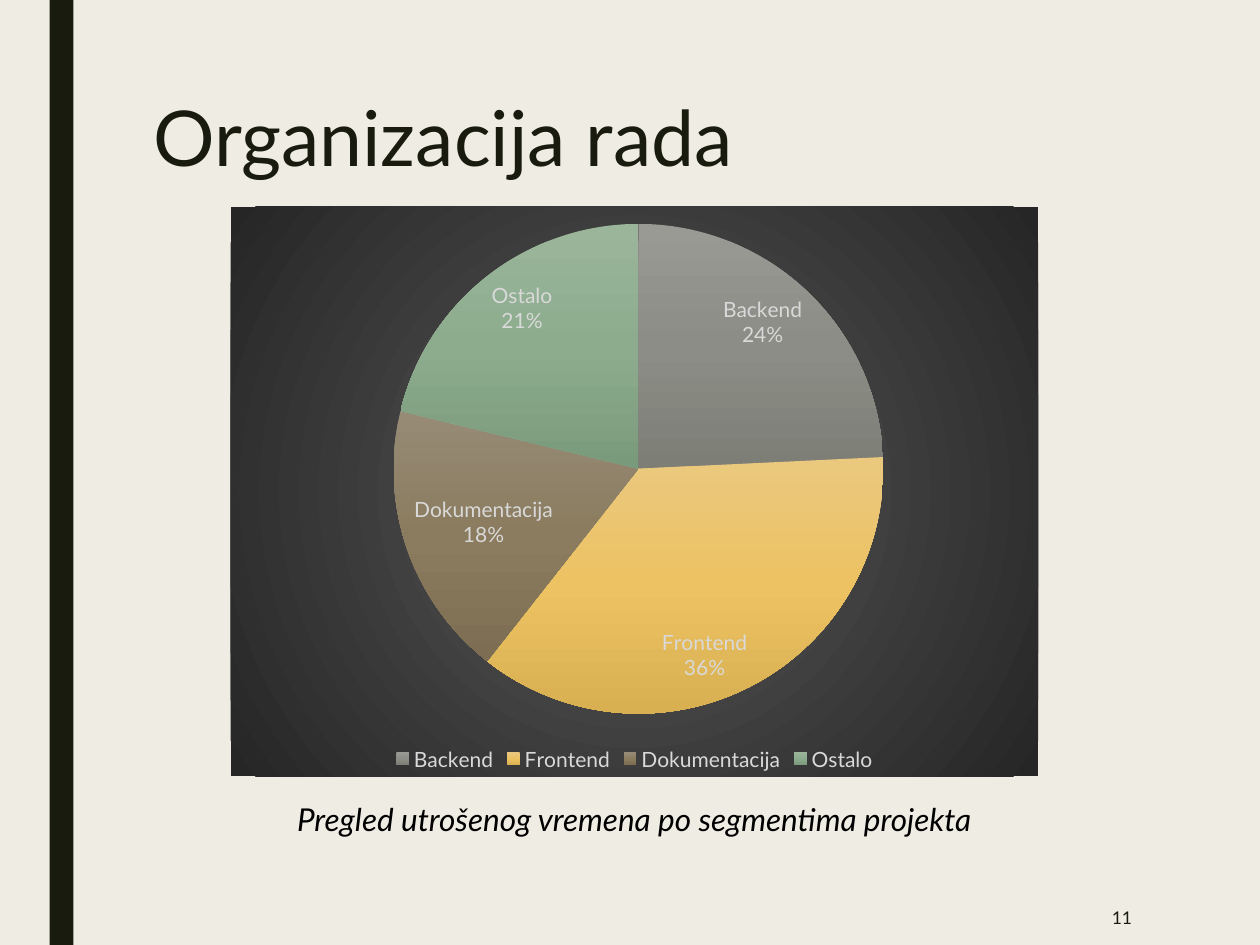
from lxml import etree
from pptx import Presentation
from pptx import util as u
from pptx.chart.data import CategoryChartData
from pptx.dml.color import RGBColor
from pptx.enum import chart as ch, shapes, text
from pptx.oxml import parse_xml
from pptx.oxml.ns import nsdecls, qn

TITLE = "Organizacija rada"
CAPTION = "Pregled utrošenog vremena po segmentima projekta"
PAGE = "11"
SEGMENTS = [
    ("Backend", 24, ("999A94", "8C8D86", "7D7E76")),
    ("Frontend", 36, ("EAC87E", "ECC263", "D9B051")),
    ("Dokumentacija", 18, ("978B76", "8B7C5F", "7D6E53")),
    ("Ostalo", 21, ("9BB59B", "8CAC8D", "7A9B7B")),
]
THEME = {
    "font": "Lato", "bg": "EFEDE3", "dark": "191B0E", "black": "000000",
    "label": "D9D9D9", "panel": ("595959", "262626"),
    "title": 44, "caption": 18, "chart": 12, "page": 10,
}
DOWN = '<a:lin ang="5400000" scaled="0"/>'
RADIAL = ('<a:path path="circle"><a:fillToRect l="50000" t="50000" '
          'r="50000" b="50000"/></a:path>')
PIE_LAYOUT = {"x": 0.2, "y": 0.03, "w": 0.61, "h": 0.86}


def rgb(name):
    return RGBColor.from_string(THEME[name])


def set_font(font, size, color):
    font.name, font.size = THEME["font"], u.Pt(THEME[size])
    font.color.rgb = rgb(color)


def add_text(slide, content, box, size, color="dark", align=text.PP_ALIGN.LEFT,
             anchor=text.MSO_ANCHOR.TOP, spacing=None, italic=None):
    tf = slide.shapes.add_textbox(*map(u.Cm, box)).text_frame
    tf.word_wrap, tf.vertical_anchor = True, anchor
    p = tf.paragraphs[0]
    p.alignment, p.line_spacing = align, spacing
    r = p.add_run()
    r.text, r.font.italic = content, italic
    set_font(r.font, size, color)


def gradient(colors, direction):
    step = 100000 // (len(colors) - 1)
    stops = "".join(f'<a:gs pos="{i * step}"><a:srgbClr val="{c}"/></a:gs>'
                    for i, c in enumerate(colors))
    return (f'<a:gradFill {nsdecls("a")} rotWithShape="1">'
            f'<a:gsLst>{stops}</a:gsLst>{direction}</a:gradFill>')


def add_pie(slide, box):
    data = CategoryChartData()
    data.categories = [name for name, _, _ in SEGMENTS]
    data.add_series("Series 1", [value for _, value, _ in SEGMENTS])
    chart = slide.shapes.add_chart(ch.XL_CHART_TYPE.PIE, *map(u.Cm, box), data).chart
    set_font(chart.font, "page", "black")
    chart.has_title = False
    chart.has_legend = True
    chart.legend.position = ch.XL_LEGEND_POSITION.BOTTOM
    chart.legend.include_in_layout = False
    set_font(chart.legend.font, "chart", "label")

    plot = chart.plots[0]
    plot.vary_by_categories = True
    plot.has_data_labels = True
    labels = plot.data_labels
    labels.show_category_name = labels.show_percentage = True
    labels.show_value = False
    labels.number_format, labels.number_format_is_linked = "0%", False
    labels.position = ch.XL_LABEL_POSITION.INSIDE_END
    set_font(labels.font, "chart", "label")

    series = plot.series[0]
    for i, (_, _, colors) in enumerate(SEGMENTS):
        series.points[i].format.line.fill.background()
        sp_pr = series._element.findall(qn("c:dPt"))[i].find(qn("c:spPr"))
        sp_pr.insert(0, parse_xml(gradient(colors, DOWN)))

    root = chart._chartSpace
    root.find(qn("c:chart")).addnext(parse_xml(
        f'<c:spPr {nsdecls("c", "a")}>{gradient(THEME["panel"], RADIAL)}'
        '<a:ln><a:noFill/></a:ln></c:spPr>'))
    area = root.find(qn("c:chart")).find(qn("c:plotArea"))
    for old in area.findall(qn("c:layout")):
        area.remove(old)
    layout = parse_xml(f'<c:layout {nsdecls("c")}><c:manualLayout/></c:layout>')
    manual = layout[0]
    settings = {"layoutTarget": "inner", "xMode": "edge", "yMode": "edge", **PIE_LAYOUT}
    for key, value in settings.items():
        etree.SubElement(manual, qn(f"c:{key}")).set("val", str(value))
    area.insert(0, layout)


def main():
    prs = Presentation()
    prs.slide_width, prs.slide_height = u.Cm(25.4), u.Cm(19.05)
    s = prs.slides.add_slide(prs.slide_layouts[6])
    s.background.fill.solid()
    s.background.fill.fore_color.rgb = rgb("bg")

    bar = s.shapes.add_shape(shapes.MSO_SHAPE.RECTANGLE, u.Cm(1), 0,
                             u.Cm(0.48), prs.slide_height)
    bar.shadow.inherit = False
    bar.fill.solid()
    bar.fill.fore_color.rgb = rgb("dark")
    bar.line.fill.background()

    add_pie(s, (4.65, 4.17, 16.28, 11.48))
    add_text(s, TITLE, (2.84, 1.9, 20.02, 4.11), "title", spacing=0.89)
    add_text(s, PAGE, (19.74, 17.93, 3.33, 1.12), "page",
             align=text.PP_ALIGN.RIGHT, anchor=text.MSO_ANCHOR.MIDDLE)
    add_text(s, CAPTION, (4.65, 16, 16.28, 1.8), "caption", color="black",
             align=text.PP_ALIGN.CENTER, italic=True)
    prs.save("out.pptx")


if __name__ == "__main__":
    main()
